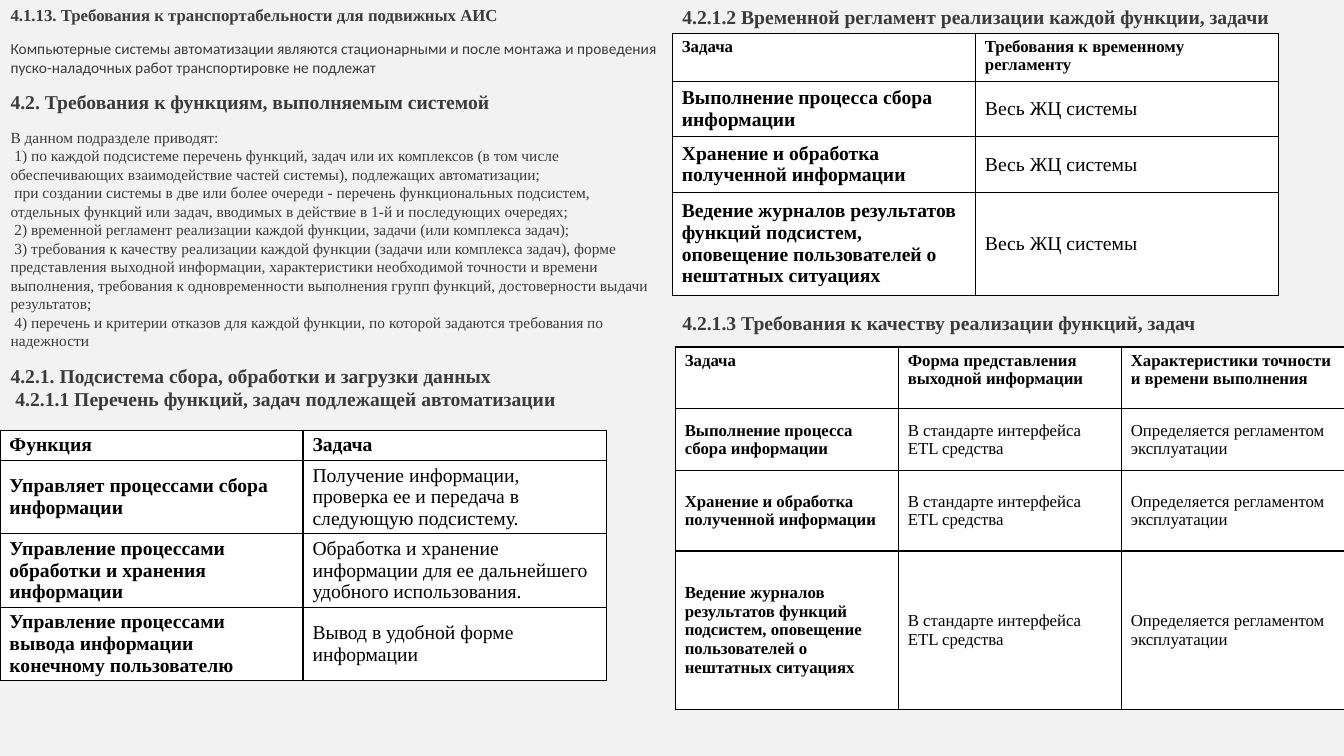
from copy import deepcopy

from lxml import etree
from pptx import Presentation
from pptx.dml.color import RGBColor
from pptx.enum.text import MSO_ANCHOR, MSO_AUTO_SIZE
from pptx.oxml.ns import qn
from pptx.util import Pt

TOP, MIDDLE = MSO_ANCHOR.TOP, MSO_ANCHOR.MIDDLE
NO_FIT = MSO_AUTO_SIZE.NONE
BACKGROUND = RGBColor(0xF2, 0xF2, 0xF2)
GREY = RGBColor(0x3B, 0x3B, 0x3B)
BLACK = RGBColor(0, 0, 0)
WHITE = RGBColor(0xFF, 0xFF, 0xFF)
SERIF, SANS = "Times New Roman", "Calibri"

REQUIREMENTS = [
    ("4.1.13. Требования к транспортабельности для подвижных АИС",
     dict(size=12, bold=True)),
    ("Компьютерные системы автоматизации являются стационарными и после монтажа "
     "и проведения пуско-наладочных работ транспортировке не подлежат",
     dict(size=11, font=SANS)),
    ("4.2. Требования к функциям, выполняемым системой", dict(size=14, bold=True)),
    ("В данном подразделе приводят:\n"
     " 1) по каждой подсистеме перечень функций, задач или их комплексов (в том числе "
     "обеспечивающих взаимодействие частей системы), подлежащих автоматизации;\n"
     " при создании системы в две или более очереди - перечень функциональных подсистем, "
     "отдельных функций или задач, вводимых в действие в 1-й и последующих очередях;\n"
     " 2) временной регламент реализации каждой функции, задачи (или комплекса задач);\n"
     " 3) требования к качеству реализации каждой функции (задачи или комплекса задач), "
     "форме представления выходной информации, характеристики необходимой точности и "
     "времени выполнения, требования к одновременности выполнения групп функций, "
     "достоверности выдачи результатов;\n"
     " 4) перечень и критерии отказов для каждой функции, по которой задаются "
     "требования по надежности", dict(size=11)),
    ("4.2.1. Подсистема сбора, обработки и загрузки данных\n"
     " 4.2.1.1 Перечень функций, задач подлежащей автоматизации",
     dict(size=14, bold=True)),
]
FUNCTIONS = [
    ("Функция", "Задача"),
    ("Управляет процессами сбора информации",
     "Получение информации, проверка ее и передача в следующую подсистему."),
    ("Управление процессами обработки и хранения информации",
     "Обработка и хранение информации для ее дальнейшего удобного использования."),
    ("Управление процессами вывода информации конечному пользователю",
     "Вывод в удобной форме информации"),
]
TASKS = [
    "Выполнение процесса сбора информации",
    "Хранение и обработка полученной информации",
    "Ведение журналов результатов функций подсистем, оповещение пользователей "
    "о нештатных ситуациях",
]
SCHEDULE = [("Задача", "Требования к временному регламенту")]
SCHEDULE += [(task, "Весь ЖЦ системы") for task in TASKS]
QUALITY = [("Задача", "Форма представления выходной информации",
            "Характеристики точности и времени выполнения")]
QUALITY += [(task, "В стандарте интерфейса ETL средства",
             "Определяется регламентом эксплуатации") for task in TASKS]


def write(p, text, size=14, bold=False, font=SERIF, color=GREY, before=0):
    p.text = text
    p.line_spacing = 1.0
    p.space_before = Pt(before)
    for r in p.runs:
        r.font.size = Pt(size)
        r.font.bold = bold
        r.font.name = font
        r.font.color.rgb = color
    # Line breaks take the format of the text around them
    for br in p._p.findall(qn("a:br")):
        br.append(deepcopy(p.runs[0]._r.rPr))


def place(shape, x, y, w, h):
    shape.left, shape.top, shape.width, shape.height = Pt(x), Pt(y), Pt(w), Pt(h)
    tf = shape.text_frame
    tf.word_wrap = True
    tf.auto_size = NO_FIT
    tf.vertical_anchor = TOP
    return tf


def add_requirements(s, x, y, w, h):
    tf = place(s.placeholders[1], x, y, w, h)
    for i, (text, style) in enumerate(REQUIREMENTS):
        p = tf.add_paragraph() if i else tf.paragraphs[0]
        pPr = p._p.get_or_add_pPr()
        pPr.set("marL", "0")
        pPr.set("indent", "0")
        etree.SubElement(pPr, qn("a:buNone"))
        write(p, text, before=10 if i else 0, **style)


def add_right_headings(s, x, y, w, h):
    tf = place(s.shapes.add_textbox(0, 0, 0, 0), x, y, w, h)
    write(tf.paragraphs[0], "4.2.1.2 Временной регламент реализации каждой функции, задачи",
          bold=True)
    write(tf.add_paragraph(), "4.2.1.3 Требования к качеству реализации функций, задач",
          bold=True, before=201.8)


def add_borders(cell):
    tcPr = cell._tc.get_or_add_tcPr()
    for i, side in enumerate(("a:lnL", "a:lnR", "a:lnT", "a:lnB")):
        ln = etree.Element(qn(side), w=str(Pt(1)))
        fill = etree.SubElement(ln, qn("a:solidFill"))
        etree.SubElement(fill, qn("a:srgbClr"), val=str(BLACK))
        tcPr.insert(i, ln)


def add_grid(s, x, y, w, heights, rows, head_size, size):
    cols = len(rows[0])
    table = s.shapes.add_table(len(rows), cols, Pt(x), Pt(y), Pt(w), Pt(sum(heights))).table
    table.first_row = table.horz_banding = False
    for col in table.columns:
        col.width = Pt(w / cols)
    for i, (row, height) in enumerate(zip(rows, heights)):
        table.rows[i].height = Pt(height)
        for j, text in enumerate(row):
            cell = table.cell(i, j)
            cell.margin_left = cell.margin_right = Pt(6.75)
            cell.margin_top = cell.margin_bottom = Pt(2.9)
            cell.vertical_anchor = MIDDLE if i else TOP
            cell.fill.solid()
            cell.fill.fore_color.rgb = WHITE
            add_borders(cell)
            write(cell.text_frame.paragraphs[0], text, size=size if i else head_size,
                  bold=i == 0 or j == 0, color=BLACK)


def main():
    prs = Presentation()
    prs.slide_width, prs.slide_height = Pt(960), Pt(540)
    s = prs.slides.add_slide(prs.slide_layouts[1])
    s.background.fill.solid()
    s.background.fill.fore_color.rgb = BACKGROUND
    title = s.shapes.title._element
    title.getparent().remove(title)

    # Left half: requirements and the list of functions
    add_requirements(s, 0.3, 0, 479.5, 540)
    add_grid(s, 0, 307.4, 433, [21.5, 52.4, 52.4, 52.4], FUNCTIONS, 14, 14)

    # Right half: schedule and quality
    add_right_headings(s, 480.3, 0, 479.5, 262)
    add_grid(s, 480.3, 23.8, 433, [34.3, 39.6, 39.6, 73.6], SCHEDULE, 12, 14)
    add_grid(s, 482.4, 247.9, 478, [43.9, 44.6, 57.2, 113.2], QUALITY, 12, 12)

    prs.save("out.pptx")


if __name__ == "__main__":
    main()
